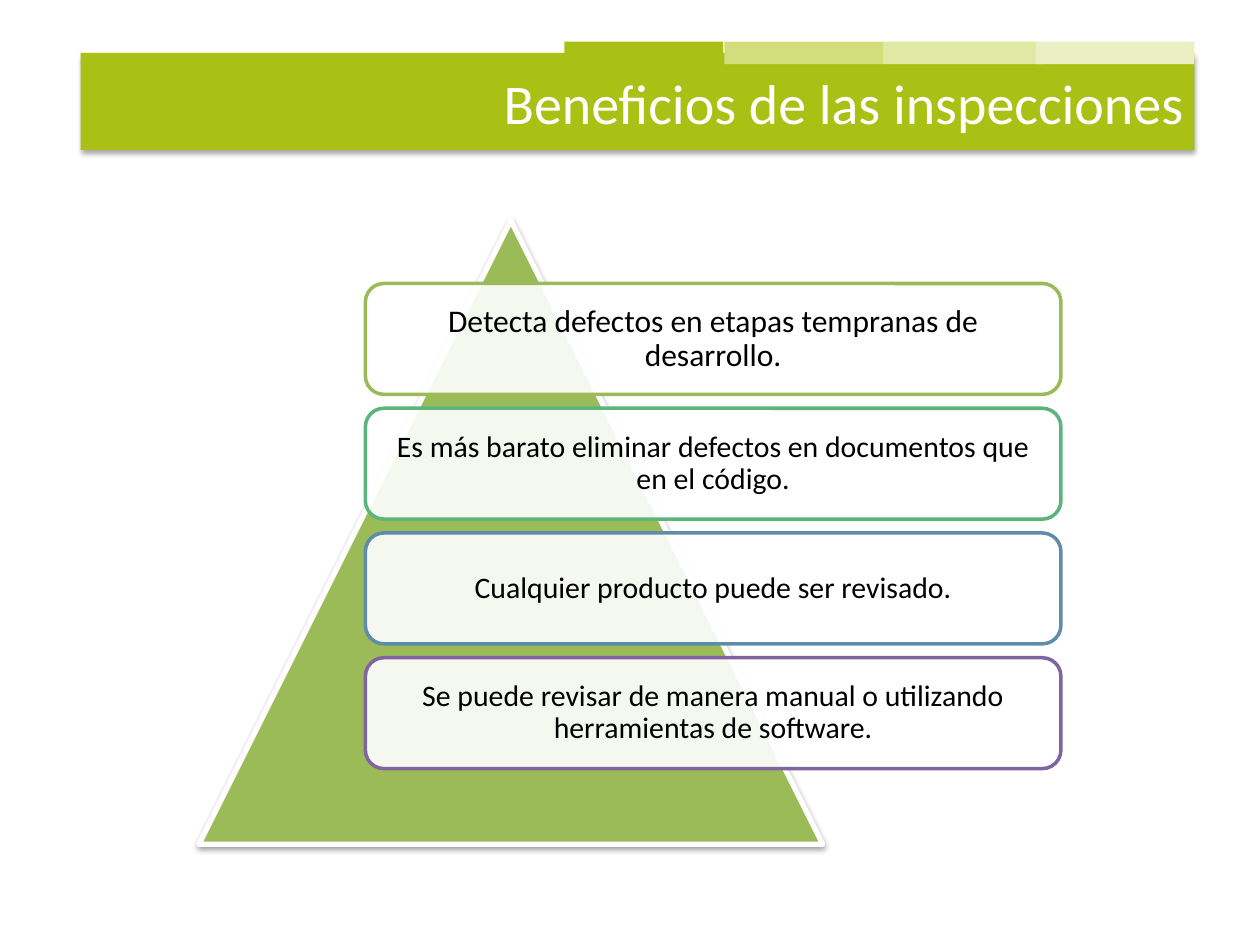
import pptx
import pptx.util
import pptx.dml.color
import pptx.enum.shapes
import pptx.enum.text
import pptx.oxml
import pptx.oxml.ns
from lxml import etree

Inches = pptx.util.Inches
Pt = pptx.util.Pt
RGBColor = pptx.dml.color.RGBColor
Shape = pptx.enum.shapes.MSO_SHAPE
Align = pptx.enum.text.PP_ALIGN
Anchor = pptx.enum.text.MSO_ANCHOR
qn = pptx.oxml.ns.qn

FONT = "Calibri"
WHITE = RGBColor(0xFF, 0xFF, 0xFF)
BLACK = RGBColor(0, 0, 0)
LIME = RGBColor(0xA9, 0xC1, 0x14)
LIME_MID = RGBColor(0xD2, 0xDE, 0x7B)
LIME_LIGHT = RGBColor(0xDF, 0xE9, 0xA4)
LIME_PALE = RGBColor(0xEA, 0xF0, 0xC4)
GREEN = RGBColor(0x9B, 0xBB, 0x59)
TEAL = RGBColor(0x5C, 0xB3, 0x7C)
BLUE = RGBColor(0x60, 0x8C, 0xAB)
PURPLE = RGBColor(0x80, 0x64, 0xA2)

deck = pptx.Presentation()
deck.slide_width, deck.slide_height = Inches(10), Inches(7.5)
page = deck.slides.add_slide(deck.slide_layouts[5])


def add_block(kind, left, top, width, height, fill, line=None, line_width=0):
    block = page.shapes.add_shape(
        kind, Inches(left), Inches(top), Inches(width), Inches(height))
    block.shadow.inherit = False
    block.fill.solid()
    block.fill.fore_color.rgb = fill
    if line is None:
        block.line.fill.background()
    else:
        block.line.color.rgb = line
        block.line.width = Pt(line_width)
    return block


def add_shadow(block, distance, opacity):
    effects = block.element.spPr.find(qn("a:effectLst"))
    shadow = etree.SubElement(
        effects, qn("a:outerShdw"), blurRad=str(Pt(3.1)), dist=str(Pt(distance)),
        dir="5400000", rotWithShape="0")
    color = etree.SubElement(shadow, qn("a:srgbClr"), val="000000")
    etree.SubElement(color, qn("a:alpha"), val=str(opacity * 1000))


# Title band and its tabs
band = add_block(Shape.RECTANGLE, 0.64, 0.42, 8.84, 0.77, LIME)
add_shadow(band, 1.8, 35)
for left, color in ((4.48, LIME), (5.75, LIME_MID), (7.01, LIME_LIGHT), (8.22, LIME_PALE)):
    add_block(Shape.RECTANGLE, left, 0.33, 1.26, 0.18, color)

# Pyramid
pyramid = add_block(Shape.ISOSCELES_TRIANGLE, 1.58, 1.75, 4.95, 4.95, GREEN, WHITE, 3)
add_shadow(pyramid, 1.6, 38)

# Benefits
benefits = (
    ("Detecta defectos en etapas tempranas de desarrollo.", 18, GREEN),
    ("Es más barato eliminar defectos en documentos que en el código.", 17, TEAL),
    ("Cualquier producto puede ser revisado.", 17, BLUE),
    ("Se puede revisar de manera manual o utilizando herramientas de software.", 17, PURPLE),
)
for row, (text, size, color) in enumerate(benefits):
    card = add_block(
        Shape.ROUNDED_RECTANGLE, 2.9, 2.25 + row * 0.99, 5.52, 0.88, WHITE, color, 2)
    fill_color = card.element.spPr.find(qn("a:solidFill")).find(qn("a:srgbClr"))
    etree.SubElement(fill_color, qn("a:alpha"), val="90000")
    frame = card.text_frame
    frame.word_wrap = True
    frame.vertical_anchor = Anchor.MIDDLE
    frame.margin_left = frame.margin_right = Inches(0.07)
    frame.margin_top = frame.margin_bottom = Inches(0.07)
    frame.text = text
    para = frame.paragraphs[0]
    para.alignment = Align.CENTER
    para.line_spacing = 0.9
    span = para.runs[0]
    span.font.name = FONT
    span.font.size = Pt(size)
    span.font.color.rgb = BLACK

# Title, brought in front of the band
title = page.shapes.title
title.left, title.top = Inches(3.06), Inches(0.49)
title.width, title.height = Inches(6.44), Inches(0.64)
title.element.getparent().append(title.element)
title.text_frame.text = "Beneficios de las inspecciones"
title.text_frame.word_wrap = True
title.text_frame.vertical_anchor = Anchor.TOP
para = title.text_frame.paragraphs[0]
para.alignment = Align.RIGHT
span = para.runs[0]
span.font.name = FONT
span.font.size = Pt(32)
span.font.color.rgb = WHITE

deck.save("out.pptx")
